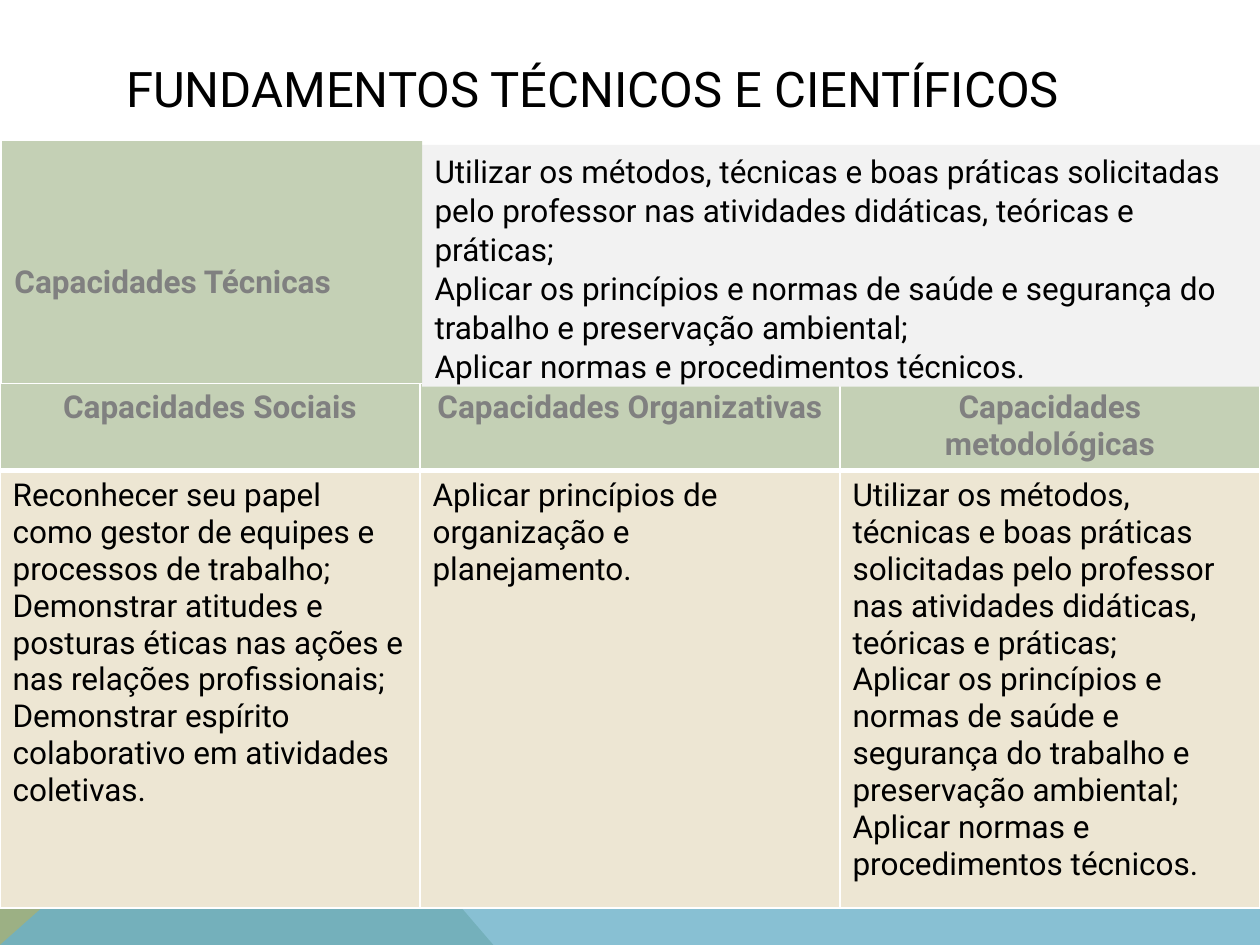
"""Build the slide on technical and scientific foundations."""
from lxml import etree
from pptx import Presentation
from pptx.dml.color import RGBColor
from pptx.enum.shapes import MSO_SHAPE
from pptx.enum.text import MSO_ANCHOR, MSO_AUTO_SIZE, PP_ALIGN
from pptx.oxml.ns import qn
from pptx.util import Pt

LEFT, CENTER = PP_ALIGN.LEFT, PP_ALIGN.CENTER
TOP, MIDDLE = MSO_ANCHOR.TOP, MSO_ANCHOR.MIDDLE
RECTANGLE = MSO_SHAPE.RECTANGLE
NO_AUTOFIT = MSO_AUTO_SIZE.NONE

FONT = "Roboto"
COLORS = {
    "text": "000000", "heading": "808080", "green": "C4D0B5", "sand": "EDE6D3",
    "gray": "F2F2F2", "border": "FFFFFF", "olive": "9CB084", "blue": "6BB1C9",
}
TITLE = "FUNDAMENTOS TÉCNICOS E CIENTÍFICOS"
TECHNICAL_HEADING = ["Capacidades Técnicas"]
TECHNICAL_SKILLS = [
    "Utilizar os métodos, técnicas e boas práticas solicitadas pelo professor "
    "nas atividades didáticas, teóricas e práticas;",
    "Aplicar os princípios e normas de saúde e segurança do trabalho e "
    "preservação ambiental;",
    "Aplicar normas e procedimentos técnicos.",
]
COLUMNS = [
    ("Capacidades Sociais", [
        "Reconhecer seu papel como gestor de equipes e processos de trabalho;",
        "Demonstrar atitudes e posturas éticas nas ações e nas relações profissionais;",
        "Demonstrar espírito colaborativo em atividades coletivas.",
    ]),
    ("Capacidades Organizativas", ["Aplicar princípios de organização e planejamento."]),
    ("Capacidades metodológicas", TECHNICAL_SKILLS),
]
BANDS = [
    ("olive", None, [(0, 540), (0, 397.5), (160.5, 397.5), (281.5, 540)]),
    ("blue", 80, [(0, 540), (160.5, 397.5), (720, 398), (720, 540)]),
]
BOXES = [
    ("gray", (241.2, 82.8, 478.8, 138.2), 3.6, TECHNICAL_SKILLS, False),
    ("green", (1.2, 80.6, 240, 138.2), 68.5, TECHNICAL_HEADING, True),
]
TABLE_TOP, TABLE_WIDTH = 219, 720
ROW_HEIGHTS = [50, 250]
THIN, THICK = 1, 3


def color(name):
    return RGBColor.from_string(COLORS[name])


def paint(target, name):
    target.fill.solid()
    target.fill.fore_color.rgb = color(name)


def write(frame, lines, size=18, heading=False, align=LEFT, spacing=None):
    for index, line in enumerate(lines):
        paragraph = frame.paragraphs[0] if index == 0 else frame.add_paragraph()
        paragraph.text = line
        paragraph.alignment = align
        paragraph.line_spacing = spacing
        font = paragraph.font
        font.name, font.size, font.bold = FONT, Pt(size), heading
        font.color.rgb = color("heading" if heading else "text")


def add_border(cell, side, width):
    properties = cell._tc.get_or_add_tcPr()
    line = etree.SubElement(properties, qn(f"a:ln{side}"), w=str(Pt(width)))
    fill = etree.SubElement(line, qn("a:solidFill"))
    etree.SubElement(fill, qn("a:srgbClr"), val=COLORS["border"])


def add_band(slide, name, opacity, points):
    builder = slide.shapes.build_freeform(*points[0], scale=Pt(1))
    builder.add_line_segments(points[1:], close=True)
    band = builder.convert_to_shape()
    band.shadow.inherit = False
    band.line.fill.background()
    paint(band, name)
    if opacity:
        fill_color = band._element.spPr.find(".//" + qn("a:srgbClr"))
        etree.SubElement(fill_color, qn("a:alpha"), val=str(opacity * 1000))


def fill_cell(cell, lines, heading):
    for side, width in (
        ("L", THIN), ("R", THIN),
        ("T", THIN if heading else THICK), ("B", THICK if heading else THIN),
    ):
        add_border(cell, side, width)
    paint(cell, "green" if heading else "sand")
    write(cell.text_frame, lines, heading=heading, align=CENTER if heading else LEFT)


def add_skills_table(slide):
    table = slide.shapes.add_table(
        len(ROW_HEIGHTS), len(COLUMNS), Pt(0), Pt(TABLE_TOP),
        Pt(TABLE_WIDTH), Pt(sum(ROW_HEIGHTS))).table
    for row, height in zip(table.rows, ROW_HEIGHTS):
        row.height = Pt(height)
    for index, (heading, skills) in enumerate(COLUMNS):
        fill_cell(table.cell(0, index), [heading], True)
        fill_cell(table.cell(1, index), skills, False)


def add_box(slide, name, bounds, top_margin, lines, heading):
    box = slide.shapes.add_shape(RECTANGLE, *map(Pt, bounds))
    box.shadow.inherit = False
    box.line.fill.background()
    paint(box, name)
    frame = box.text_frame
    frame.word_wrap = True
    frame.vertical_anchor = TOP
    frame.margin_top = Pt(top_margin)
    write(frame, lines, heading=heading, spacing=1.03)


presentation = Presentation()
presentation.slide_width, presentation.slide_height = Pt(720), Pt(540)
slide = presentation.slides.add_slide(presentation.slide_layouts[5])

title = slide.shapes.title
title.left, title.top, title.width, title.height = map(Pt, (64.8, 28.8, 592, 43.2))
title.text_frame.auto_size = NO_AUTOFIT
title.text_frame.vertical_anchor = MIDDLE
write(title.text_frame, [TITLE], size=28)

for band in BANDS:
    add_band(slide, *band)
add_skills_table(slide)
for box in BOXES:
    add_box(slide, *box)

presentation.save("out.pptx")
